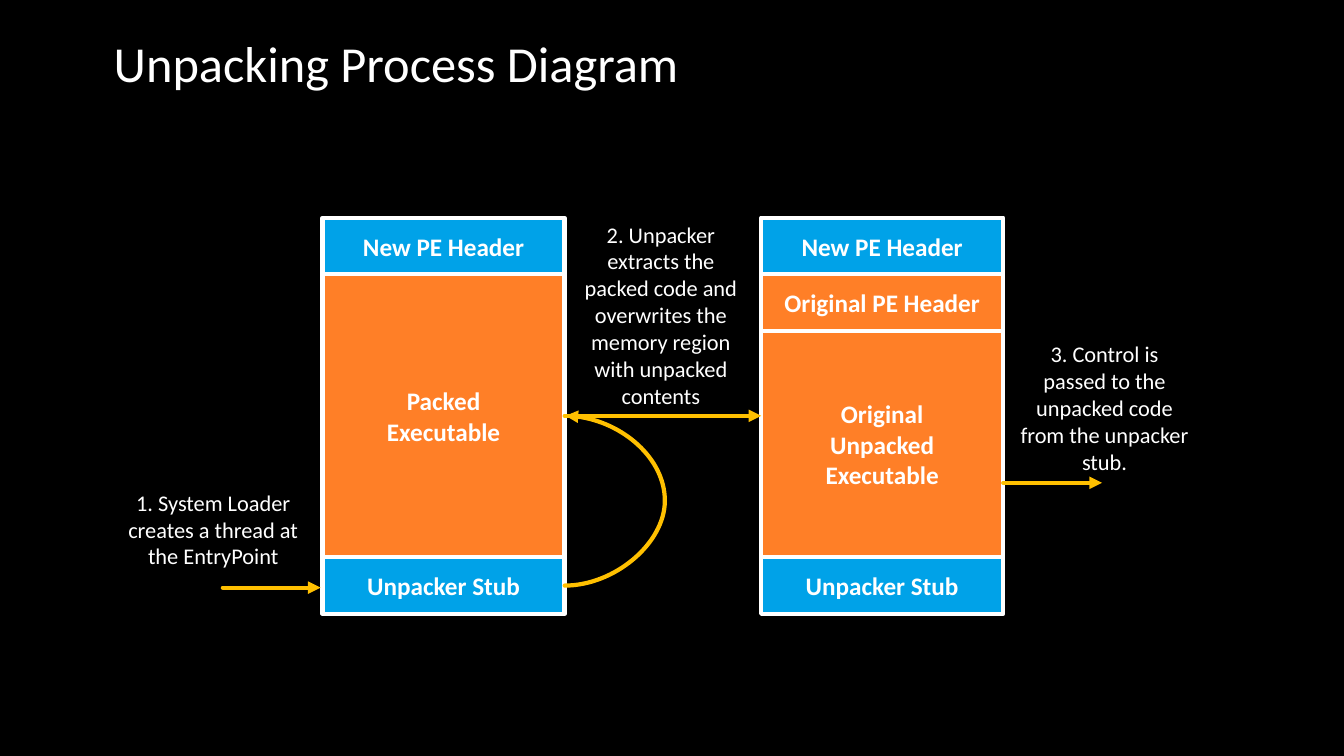
from lxml.etree import SubElement
from pptx import Presentation
from pptx.dml.color import RGBColor
from pptx.enum.shapes import MSO_CONNECTOR, MSO_SHAPE
from pptx.enum.text import MSO_ANCHOR, MSO_AUTO_SIZE, PP_ALIGN
from pptx.oxml.ns import qn
from pptx.util import Inches, Pt

WHITE, BLACK, BLUE, ORANGE, GOLD = "FFFFFF", "000000", "00A2E8", "FF7F27", "FFC000"
ROW = 0.5615
COLUMN_WIDTH = 2.4
COLUMN_TOP = 2.16
PACKED_LEFT, UNPACKED_LEFT = 3.2, 7.55
PACKED_RIGHT = PACKED_LEFT + COLUMN_WIDTH
UNPACKED_RIGHT = UNPACKED_LEFT + COLUMN_WIDTH
OVERWRITE_Y = COLUMN_TOP + 3.5 * ROW
STUB_Y = COLUMN_TOP + 6.5 * ROW


def color(hex_value):
    """Turn a hex string into a colour."""
    return RGBColor.from_string(hex_value)


def write(shape, text, size, bold=False, align=PP_ALIGN.CENTER):
    """Put formatted white text into a shape."""
    text_frame = shape.text_frame
    text_frame.word_wrap = True
    text_frame.text = text
    for paragraph in text_frame.paragraphs:
        paragraph.alignment = align
        for run in paragraph.runs:
            run.font.name = "Calibri"
            run.font.size = Pt(size)
            run.font.bold = bold
            run.font.color.rgb = color(WHITE)


def add_label(slide, box, text, size=16, align=PP_ALIGN.CENTER):
    """Add a text box that fits its text."""
    label = slide.shapes.add_textbox(*map(Inches, box))
    write(label, text, size, align=align)
    label.text_frame.auto_size = MSO_AUTO_SIZE.SHAPE_TO_FIT_TEXT


def add_memory_column(slide, left, top, sections):
    """Stack sections of (text, rows, fill) into one memory layout."""
    for text, rows, fill in sections:
        section = slide.shapes.add_shape(
            MSO_SHAPE.RECTANGLE, Inches(left), Inches(top),
            Inches(COLUMN_WIDTH), Inches(rows * ROW))
        section.shadow.inherit = False
        section.fill.solid()
        section.fill.fore_color.rgb = color(fill)
        section.line.color.rgb = color(WHITE)
        section.line.width = Pt(3)
        section.text_frame.vertical_anchor = MSO_ANCHOR.MIDDLE
        write(section, text, 18, bold=True)
        top += rows * ROW


def add_arrow(slide, start, end, kind=MSO_CONNECTOR.STRAIGHT):
    """Add a gold arrow from start to end."""
    arrow = slide.shapes.add_connector(kind, *map(Inches, (*start, *end)))
    arrow.line.color.rgb = color(GOLD)
    arrow.line.width = Pt(3)
    properties = arrow._element.spPr
    line = properties.find(qn("a:ln"))
    line.set("cap", "rnd")
    SubElement(line, qn("a:round"))
    SubElement(line, qn("a:tailEnd"), type="triangle")
    SubElement(properties, qn("a:effectLst"))
    return arrow


def add_return_curve(slide, x, bottom, top, bulge):
    """Add a curved arrow that bulges right and returns to the same edge."""
    width = 0.01
    curve = add_arrow(slide, (x, bottom), (x + width, top), MSO_CONNECTOR.CURVE)
    geometry = curve._element.spPr.find(qn("a:prstGeom"))
    guides = geometry.find(qn("a:avLst"))
    if guides is None:
        guides = SubElement(geometry, qn("a:avLst"))
    SubElement(guides, qn("a:gd"), name="adj1",
               fmla=f"val {round(bulge / width * 100000)}")


def add_unpacking_slide(presentation):
    """Build the slide with both memory layouts and the three steps."""
    slide = presentation.slides.add_slide(presentation.slide_layouts[6])
    slide.background.fill.solid()
    slide.background.fill.fore_color.rgb = color(BLACK)
    add_label(slide, (1.03, 0.27, 6.67, 0.71), "Unpacking Process Diagram",
              36, PP_ALIGN.LEFT)

    header = ("New PE Header", 1, BLUE)
    stub = ("Unpacker Stub", 1, BLUE)
    add_memory_column(slide, PACKED_LEFT, COLUMN_TOP, [
        header, ("Packed\nExecutable", 5, ORANGE), stub])
    add_memory_column(slide, UNPACKED_LEFT, COLUMN_TOP, [
        header, ("Original PE Header", 1, ORANGE),
        ("Original\nUnpacked\nExecutable", 4, ORANGE), stub])

    add_return_curve(slide, PACKED_RIGHT, STUB_Y, OVERWRITE_Y, 1.01)
    add_arrow(slide, (PACKED_RIGHT, OVERWRITE_Y), (UNPACKED_LEFT, OVERWRITE_Y))
    add_arrow(slide, (2.21, 5.83), (3.18, 5.83))
    add_arrow(slide, (UNPACKED_RIGHT, 4.79), (10.93, 4.79))

    add_label(slide, (1.03, 4.8, 2.17, 0.91),
              "1. System Loader creates a thread at the EntryPoint")
    add_label(slide, (PACKED_RIGHT, 2.14, 1.91, 1.99),
              "2. Unpacker extracts the packed code and overwrites the "
              "memory region with unpacked contents")
    add_label(slide, (10, 3.33, 1.91, 1.45),
              "3. Control is passed to the unpacked code from the unpacker stub.")


def main():
    """Create and save the presentation."""
    presentation = Presentation()
    presentation.slide_width = Inches(13.33)
    presentation.slide_height = Inches(7.5)
    add_unpacking_slide(presentation)
    presentation.save("out.pptx")


if __name__ == "__main__":
    main()
